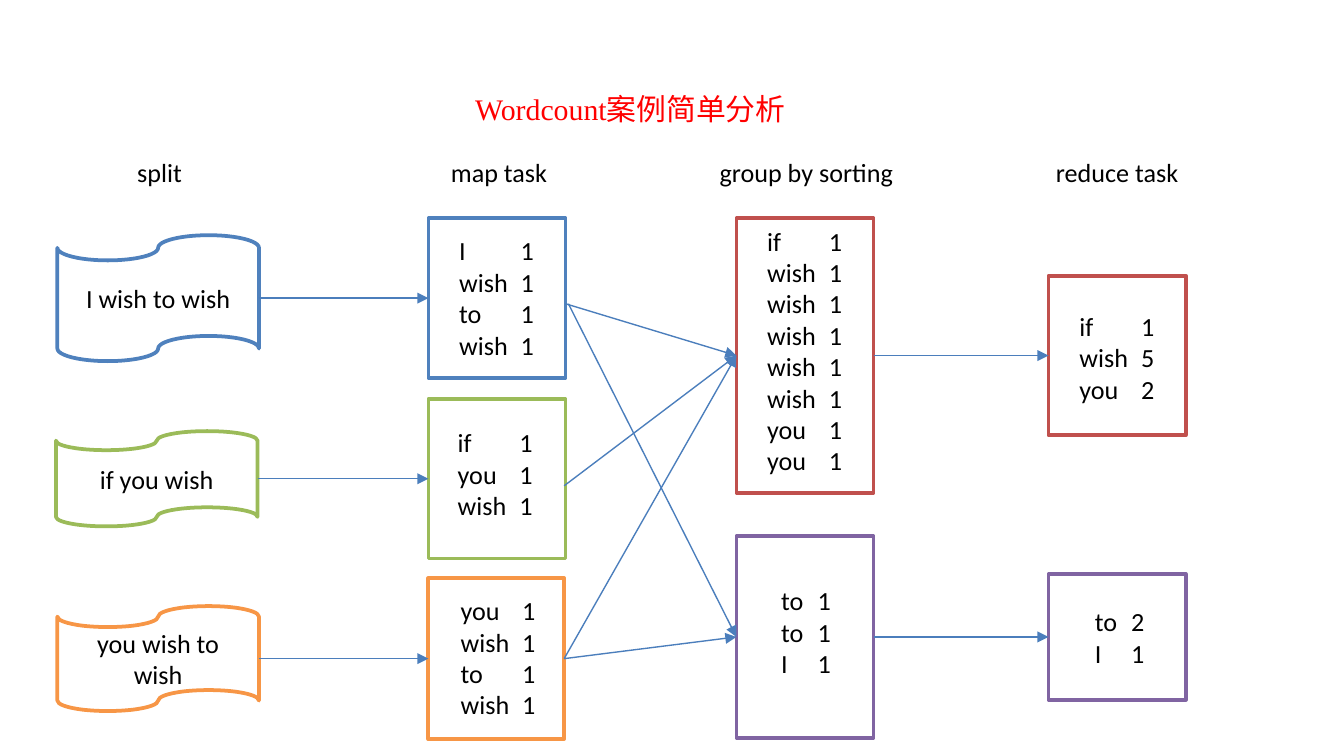
from lxml import etree
from pptx import Presentation
from pptx.dml.color import RGBColor
from pptx.enum.shapes import MSO_CONNECTOR, MSO_SHAPE
from pptx.enum.text import MSO_ANCHOR, PP_ALIGN
from pptx.oxml.ns import qn
from pptx.util import Pt

PX = 9525
BLACK = RGBColor(0x00, 0x00, 0x00)
WHITE = RGBColor(0xFF, 0xFF, 0xFF)
TITLE_RED = RGBColor(0xFF, 0x00, 0x00)
BLUE = RGBColor(0x4F, 0x81, 0xBD)
GREEN = RGBColor(0x9B, 0xBB, 0x59)
ORANGE = RGBColor(0xF7, 0x96, 0x46)
RED = RGBColor(0xC0, 0x50, 0x4D)
PURPLE = RGBColor(0x80, 0x64, 0xA2)
ARROW_BLUE = RGBColor(0x4B, 0x7E, 0xBC)
TAPE = MSO_SHAPE.FLOWCHART_PUNCHED_TAPE
RECTANGLE = MSO_SHAPE.RECTANGLE
STRAIGHT = MSO_CONNECTOR.STRAIGHT
CENTER = PP_ALIGN.CENTER
LEFT = PP_ALIGN.LEFT
MIDDLE = MSO_ANCHOR.MIDDLE
LEFT_SIDE, RIGHT_SIDE = 1, 3

deck = Presentation()
deck.slide_width = 960 * PX
deck.slide_height = 540 * PX
page = deck.slides.add_slide(deck.slide_layouts[6])


def write(box, lines, align=CENTER, size=14, font="Calibri", color=BLACK):
    frame = box.text_frame
    frame.word_wrap = True
    frame.text = "\n".join(lines)
    for para in frame.paragraphs:
        para.alignment = align
        para.font.size = Pt(size)
        para.font.name = font
        para.font.color.rgb = color


def add_outline(kind, bounds, color):
    shape = page.shapes.add_shape(kind, *[value * PX for value in bounds])
    shape.shadow.inherit = False
    shape.fill.solid()
    shape.fill.fore_color.rgb = WHITE
    shape.line.color.rgb = color
    shape.line.width = Pt(2)
    return shape


title = page.shapes.add_textbox(330 * PX, 60 * PX, 244 * PX, 36 * PX)
write(title, ["Wordcount案例简单分析"], LEFT, 16, "Times New Roman", TITLE_RED)

for heading, left, width in [
    ("split", 72, 84),
    ("map task", 306, 101),
    ("group by sorting", 498, 156),
    ("reduce task", 738, 120),
]:
    box = page.shapes.add_textbox(left * PX, 107 * PX, width * PX, 33 * PX)
    write(box, [heading])

splits = []
for sentence, bounds, color in [
    ("I wish to wish", (41, 168, 144, 90), BLUE),
    ("if you wish", (40, 308, 144, 68), GREEN),
    ("you wish to wish", (41, 433, 144, 75), ORANGE),
]:
    tape = add_outline(TAPE, bounds, color)
    tape.text_frame.vertical_anchor = MIDDLE
    write(tape, [sentence])
    splits.append(tape)

tables = []
for bounds, color, text_bounds, inset, tab, counts in [
    ((306, 156, 98, 114), BLUE, (306, 163, 96, 100), 22, 44,
     [("I", 1), ("wish", 1), ("to", 1), ("wish", 1)]),
    ((306, 285, 98, 114), GREEN, (313, 300, 82, 78), 14, 44,
     [("if", 1), ("you", 1), ("wish", 1)]),
    ((306, 413, 97, 115), ORANGE, (311, 420, 89, 100), 18, 44,
     [("you", 1), ("wish", 1), ("to", 1), ("wish", 1)]),
    ((526, 156, 98, 196), RED, (534, 156, 84, 191), 14, 44,
     [("if", 1)] + [("wish", 1)] * 5 + [("you", 1)] * 2),
    ((526, 383, 98, 144), PURPLE, (541, 413, 68, 78), 17, 26,
     [("to", 1), ("to", 1), ("I", 1)]),
    ((749, 197, 98, 114), RED, (756, 217, 84, 78), 15, 44,
     [("if", 1), ("wish", 5), ("you", 2)]),
    ((749, 410, 98, 90), PURPLE, (765, 428, 68, 55), 17, 26,
     [("to", 2), ("I", 1)]),
]:
    tables.append(add_outline(RECTANGLE, bounds, color))
    box = page.shapes.add_textbox(*[value * PX for value in text_bounds])
    write(box, [f"{word}\t{count}" for word, count in counts], LEFT)
    box.text_frame.margin_left = inset * PX
    box.text_frame.margin_right = 0
    for para in box.text_frame.paragraphs:
        properties = para._p.get_or_add_pPr()
        stops = etree.Element(qn("a:tabLst"))
        etree.SubElement(stops, qn("a:tab"), pos=str(tab * PX), algn="l")
        properties.insert(0, stops)

map_one, map_two, map_three, group_one, group_two, reduce_one, reduce_two = tables
for source, start, target in [
    (splits[0], None, map_one),
    (splits[1], None, map_two),
    (splits[2], None, map_three),
    (None, (406, 217), group_two),
    (None, (404, 217), group_one),
    (None, (403, 347), group_one),
    (map_three, None, group_two),
    (map_three, None, group_one),
    (group_one, None, reduce_one),
    (group_two, None, reduce_two),
]:
    left, top = start or (0, 0)
    arrow = page.shapes.add_connector(STRAIGHT, left * PX, top * PX, left * PX, top * PX)
    if source is not None:
        arrow.begin_connect(source, RIGHT_SIDE)
    arrow.end_connect(target, LEFT_SIDE)
    arrow.line.color.rgb = ARROW_BLUE
    arrow.line.width = Pt(0.75)
    line = arrow.line._get_or_add_ln()
    etree.SubElement(line, qn("a:tailEnd"), type="triangle")
    etree.SubElement(arrow._element.spPr, qn("a:effectLst"))

deck.save("out.pptx")
